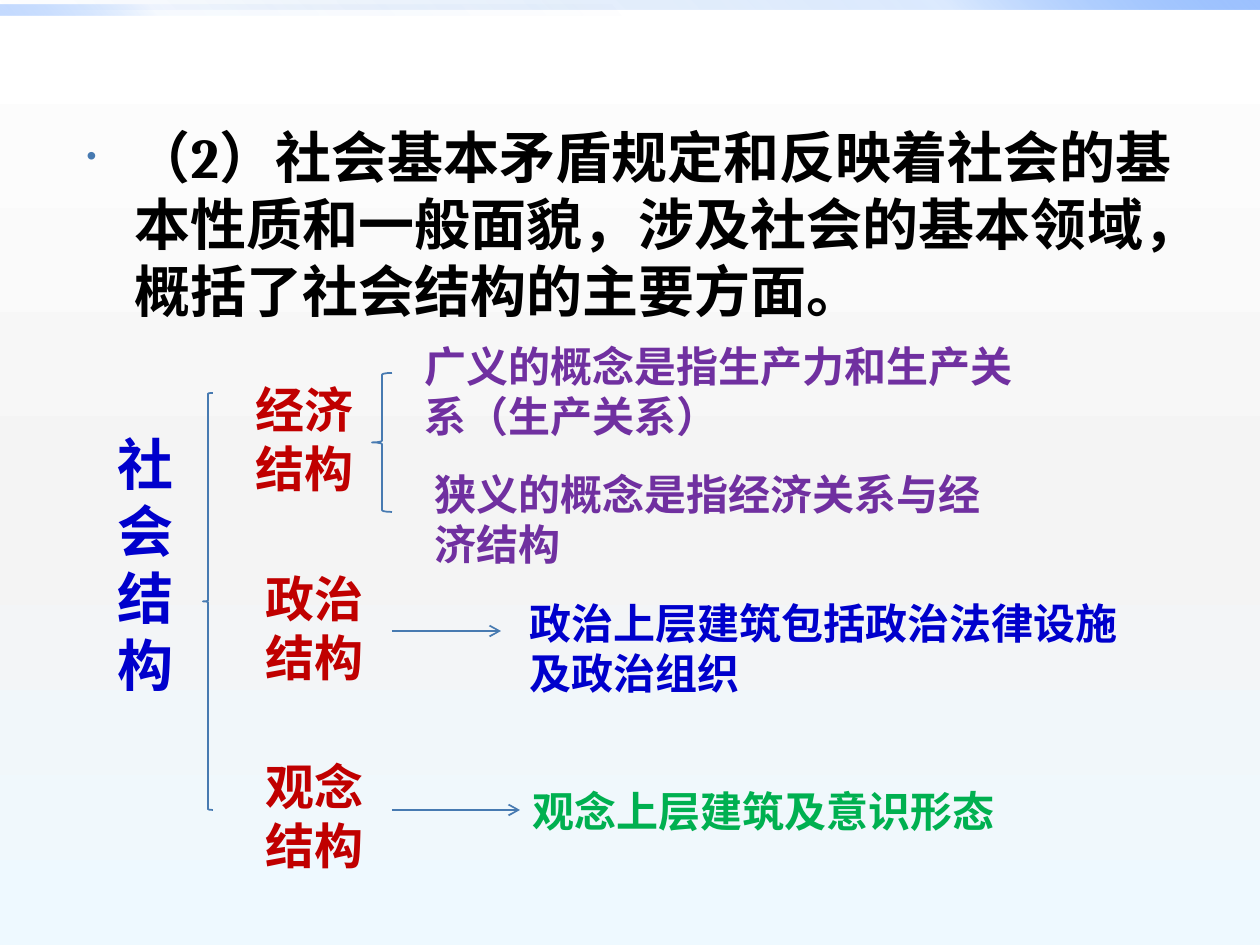
from lxml.etree import SubElement
from pptx import Presentation
from pptx.dml.color import RGBColor
from pptx.enum.shapes import MSO_CONNECTOR, MSO_SHAPE
from pptx.enum.text import MSO_ANCHOR, MSO_AUTO_SIZE, PP_ALIGN
from pptx.oxml.ns import qn
from pptx.util import Pt

SCALE = 914400 / 126
FONT = "Cambria"
COLORS = {
    "black": "000000", "blue": "0000CC", "red": "C00000", "purple": "7030A0",
    "green": "00B050", "line": "477AB1", "white": "FFFFFF", "gray": "F4F4F4",
    "ice": "EEF9FF", "deep": "0058B7", "sky": "4F95FF", "pale": "9EC2FF",
}
LEFT_SIDE = 1


def px(value):
    """Turn pixels into EMU."""
    return round(value * SCALE)


def rgb(name):
    """Look up a named colour."""
    return RGBColor.from_string(COLORS[name])


def set_gradient(fill, element, stops, angle):
    """Fill with (percent, colour, opacity) stops at a clockwise angle."""
    fill.gradient()
    fill.gradient_angle = 360 - angle
    stop_list = element.find(".//" + qn("a:gsLst"))
    for stop in list(stop_list):
        stop_list.remove(stop)
    for position, color, opacity in stops:
        stop = SubElement(stop_list, qn("a:gs"), pos=str(position * 1000))
        value = SubElement(stop, qn("a:srgbClr"), val=COLORS[color])
        if opacity < 100:
            SubElement(value, qn("a:alpha"), val=str(opacity * 1000))


def write_text(shape, text, size, color):
    """Put one bold left-aligned paragraph into a shape and return it."""
    frame = shape.text_frame
    frame_format = {"word_wrap": True, "auto_size": MSO_AUTO_SIZE.NONE,
                    "vertical_anchor": MSO_ANCHOR.TOP}
    for name, value in frame_format.items():
        setattr(frame, name, value)
    paragraph = frame.paragraphs[0]
    paragraph.alignment = PP_ALIGN.LEFT
    paragraph.space_before = Pt(0)
    run = paragraph.add_run()
    run.text = text
    for name, value in {"name": FONT, "size": Pt(size), "bold": True}.items():
        setattr(run.font, name, value)
    run.font.color.rgb = rgb(color)
    return paragraph


def add_text(slide, box, text, size, color):
    """Add a wrapping text box."""
    shape = slide.shapes.add_textbox(*map(px, box))
    write_text(shape, text, size, color)
    return shape


def add_brace(slide, box):
    """Add a thin left brace."""
    brace = slide.shapes.add_shape(MSO_SHAPE.LEFT_BRACE, *map(px, box))
    brace.shadow.inherit = False
    brace.fill.background()
    brace.line.color.rgb = rgb("line")
    brace.line.width = Pt(1)


def add_arrow(slide, left, right, y, target=None):
    """Add a horizontal arrow, joined to the target's left side if given."""
    arrow = slide.shapes.add_connector(
        MSO_CONNECTOR.STRAIGHT, px(left), px(y), px(right), px(y))
    if target is not None:
        arrow.end_connect(target, LEFT_SIDE)
    arrow.line.color.rgb = rgb("line")
    arrow.line.width = Pt(1)
    SubElement(arrow.line._get_or_add_ln(), qn("a:tailEnd"), type="arrow")
    SubElement(arrow._element.spPr, qn("a:effectLst"))


def add_backdrop(slide, box):
    """Paint the background and the two bars along the top edge."""
    left, top, width, height = box
    set_gradient(slide.background.fill, slide._element,
                 [(0, "white", 100), (55, "gray", 100), (100, "ice", 100)], 90)
    bars = [((left, top, width, height), 20, 100, 315),
            ((left, top + height // 2, width // 2, height), 5, 60, 135)]
    for bar_box, middle, end, angle in bars:
        bar = slide.shapes.add_shape(MSO_SHAPE.RECTANGLE, *map(px, bar_box))
        bar.shadow.inherit = False
        bar.line.fill.background()
        set_gradient(bar.fill, bar._element,
                     [(0, "deep", 0), (75, "sky", middle), (100, "pale", end)], angle)


def place_statement(slide, box):
    """Fill the body placeholder with the bulleted statement."""
    slide.shapes.title._element.getparent().remove(slide.shapes.title._element)
    body = slide.placeholders[1]
    for name, value in zip(("left", "top", "width", "height"), box):
        setattr(body, name, px(value))
    paragraph = write_text(
        body, "（2）社会基本矛盾规定和反映着社会的基本性质和一般面貌，"
        "涉及社会的基本领域，概括了社会结构的主要方面。", 32, "black")
    properties = paragraph._p.get_or_add_pPr()
    properties.set("marL", str(px(48)))
    properties.set("indent", str(px(-48)))
    bullet_color = SubElement(properties, qn("a:buClr"))
    SubElement(bullet_color, qn("a:srgbClr"), val=COLORS["line"])
    SubElement(properties, qn("a:buSzPct"), val="50000")
    SubElement(properties, qn("a:buFont"), typeface="Arial")
    SubElement(properties, qn("a:buChar"), char="•")


def add_structure(slide, box):
    """Draw the tree of social structures inside the box."""
    left, top, width, height = box
    add_text(slide, (left, top + 89, 89, 285), "社会结构", 32, "blue")
    add_brace(slide, (left + 98, top + 59, 10, 417))

    branches = [("经济结构", 138, 39), ("政治结构", 148, 228), ("观念结构", 148, 416)]
    for text, x, y in branches:
        add_text(slide, (left + x, top + y, 129, 131), text, 28, "red")
    add_brace(slide, (left + 267, top + 39, 20, 139))

    details = [
        ("广义的概念是指生产力和生产关系（生产关系）", (307, 0, 615, 115), "purple"),
        ("狭义的概念是指经济关系与经济结构", (317, 128, 595, 115), "purple"),
        ("政治上层建筑包括政治法律设施及政治组织", (412, 257, 625, 115), "blue"),
        ("观念上层建筑及意识形态", (415, 445, 615, 62), "green"),
    ]
    for text, (x, y, w, h), color in details:
        detail = add_text(slide, (left + x, top + y, w, h), text, 24, color)
    add_arrow(slide, left + 287, left + 396, top + 297)
    add_arrow(slide, left + 287, left + 415, top + 476, detail)


def main():
    """Build and save the slide."""
    presentation = Presentation()
    presentation.slide_width = px(1260)
    presentation.slide_height = px(945)
    slide = presentation.slides.add_slide(presentation.slide_layouts[1])
    add_backdrop(slide, (0, 0, 1260, 10))
    place_statement(slide, (74, 116, 1134, 248))
    add_structure(slide, (105, 334, 1037, 547))
    presentation.save("out.pptx")


if __name__ == "__main__":
    main()
